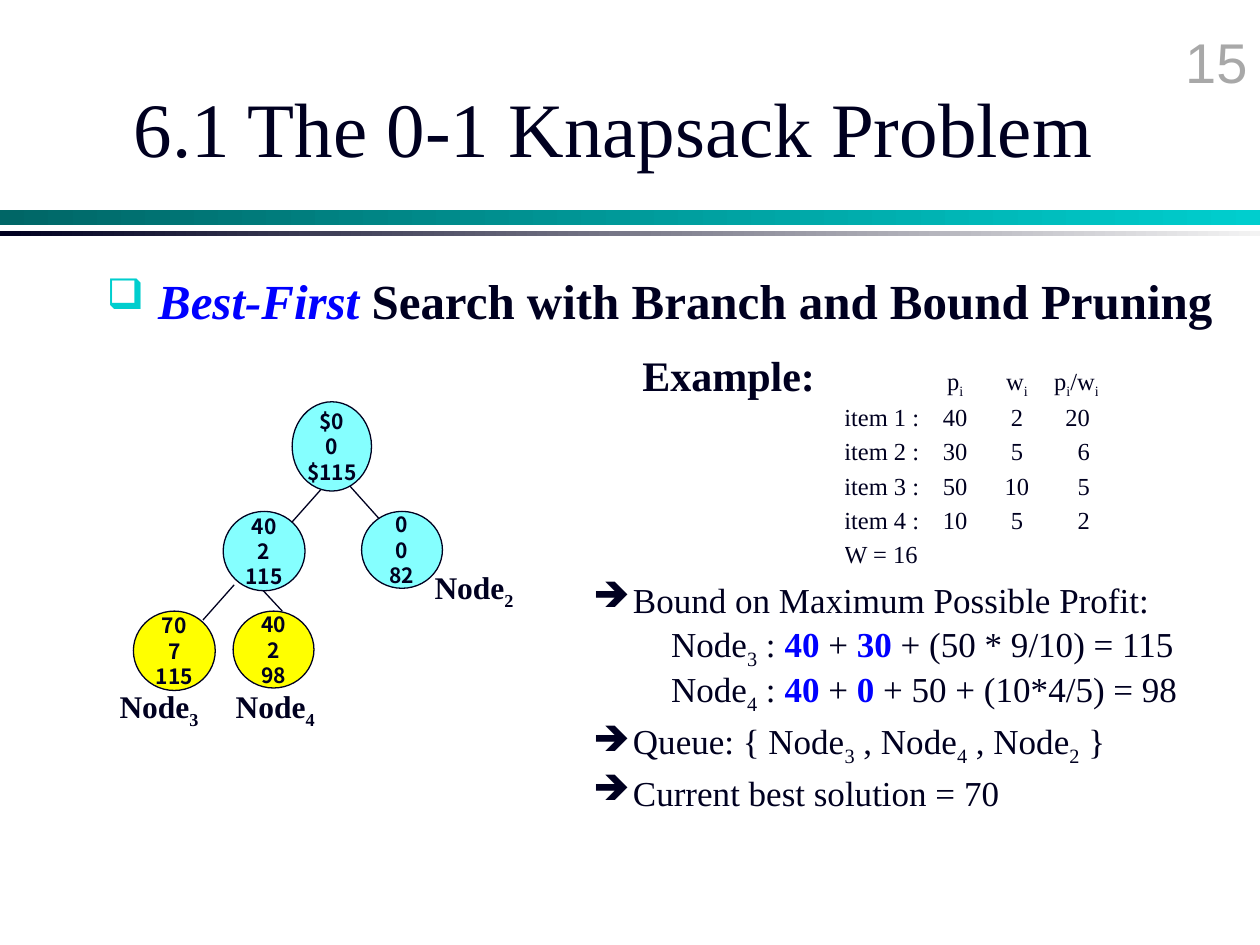
from lxml.etree import SubElement
from pptx import Presentation
from pptx.dml.color import RGBColor
from pptx.enum.shapes import MSO_CONNECTOR, MSO_SHAPE
from pptx.enum.text import MSO_ANCHOR, PP_ALIGN
from pptx.oxml.ns import qn
from pptx.util import Cm, Pt

THEME = {
    "ink": "000020", "accent": "0000FF", "page": "A8A8A8", "bullet": "00CECE",
    "open": "85FFFF", "leaf": "FFFF00",
    "teal bar": ("006666", "00CECE"), "ink bar": ("000020", "F3F3F3"),
    "title": 44, "number": 32, "heading": 28, "example": 24, "point": 20,
    "label": 18, "item": 14, "node": 12,
    "serif": "Times New Roman", "sans": "Arial", "node font": "Noto Sans CJK KR",
}
ROLES = {
    "plain": {},
    "sub": {},
    "bold": {"bold": True},
    "bold sub": {"bold": True},
    "value": {"bold": True},
    "emphasis": {"bold": True, "italic": True},
}
ACCENTED = ("value", "emphasis")


def add_runs(paragraph, runs, size, font="serif", color="ink"):
    """Append (text, role) runs, with sizes, fonts and colours named in THEME."""
    for text, role in runs:
        run = paragraph.add_run()
        run.text = text
        base = {"name": THEME[font], "size": Pt(THEME[size]), "bold": False}
        for attribute, value in (base | ROLES[role]).items():
            setattr(run.font, attribute, value)
        shade = "accent" if role in ACCENTED else color
        run.font.color.rgb = RGBColor.from_string(THEME[shade])
        if role.endswith("sub"):
            run.font._element.set("baseline", "-25000")


def add_text(box, runs, size, bullet=None, **look):
    """Add a one-paragraph text box; bullet is (sign, colour, percent, indent)."""
    frame = slide.shapes.add_textbox(*map(Cm, box)).text_frame
    frame.word_wrap = True
    paragraph = frame.paragraphs[0]
    add_runs(paragraph, runs, size, **look)
    if bullet:
        sign, color, percent, indent = bullet
        properties = paragraph._p.get_or_add_pPr()
        properties.set("marL", str(Cm(indent)))
        properties.set("indent", str(-Cm(indent)))
        bullet_color = SubElement(properties, qn("a:buClr"))
        SubElement(bullet_color, qn("a:srgbClr"), val=THEME[color])
        SubElement(properties, qn("a:buSzPct"), val=str(percent * 1000))
        SubElement(properties, qn("a:buChar"), char=sign)
    return paragraph


presentation = Presentation()
presentation.slide_width, presentation.slide_height = Cm(25.4), Cm(19.05)
slide = presentation.slides.add_slide(presentation.slide_layouts[5])

# Header
for top, height, colors in ((4.24, 0.3, "teal bar"), (4.65, 0.1, "ink bar")):
    bar = slide.shapes.add_shape(
        MSO_SHAPE.RECTANGLE, Cm(0), Cm(top), Cm(25.4), Cm(height))
    bar.shadow.inherit = False
    bar.line.fill.background()
    bar.fill.gradient()
    bar.fill.gradient_angle = 0
    for stop, position, color in zip(bar.fill.gradient_stops, (0, 1), THEME[colors]):
        stop.position = position
        stop.color.rgb = RGBColor.from_string(color)

title = slide.shapes.title
title_box = {"left": 2.44, "top": 0.97, "width": 21.64, "height": 3.18}
for attribute, value in title_box.items():
    setattr(title, attribute, Cm(value))
title.text_frame.vertical_anchor = MSO_ANCHOR.MIDDLE
heading = title.text_frame.paragraphs[0]
heading.alignment = PP_ALIGN.LEFT
add_runs(heading, [("6.1 The 0-1 Knapsack Problem", "plain")], "title")

page_number = add_text((20.12, 0.43, 5.28, 1.27), [("15", "plain")], "number",
                       font="sans", color="page")
page_number.alignment = PP_ALIGN.RIGHT

add_text((1.9, 5.33, 23.2, 1.47),
         [("Best-First ", "emphasis"), ("Search with Branch and Bound Pruning", "bold")],
         "heading", ("❑", "bullet", 86, 1.04))

# Search tree
branches = [
    (6.53, 9.8, 5.89, 10.52), (7.01, 9.75, 7.7, 10.52),
    (4.72, 11.79, 4.09, 12.5), (5.31, 11.91, 5.69, 12.32),
]
for x1, y1, x2, y2 in branches:
    branch = slide.shapes.add_connector(
        MSO_CONNECTOR.STRAIGHT, Cm(x1), Cm(y1), Cm(x2), Cm(y2))
    branch.line.color.rgb = RGBColor.from_string(THEME["ink"])
    branch.line.width = Pt(0.75)
    SubElement(branch._element.spPr, qn("a:effectLst"))

nodes = [
    ((5.89, 8.1, 1.6, 1.8), "open", ("$0", "0", "$115")),
    ((4.5, 10.31, 1.65, 1.6), "open", ("40", "2", "115")),
    ((7.29, 10.31, 1.63, 1.55), "open", ("0", "0", "82")),
    ((2.69, 12.32, 1.65, 1.6), "leaf", ("70", "7", "115")),
    ((4.7, 12.32, 1.63, 1.55), "leaf", ("40", "2", "98")),
]
for box, color, values in nodes:
    node = slide.shapes.add_shape(MSO_SHAPE.OVAL, *map(Cm, box))
    node.shadow.inherit = False
    node.fill.solid()
    node.fill.fore_color.rgb = RGBColor.from_string(THEME[color])
    node.line.color.rgb = RGBColor.from_string(THEME["ink"])
    node.line.width = Pt(0.75)
    frame = node.text_frame
    frame.word_wrap = False
    frame.vertical_anchor = MSO_ANCHOR.MIDDLE
    for side in ("left", "top", "right", "bottom"):
        setattr(frame, f"margin_{side}", 0)
    for index, value in enumerate(values):
        line = frame.add_paragraph() if index else frame.paragraphs[0]
        line.alignment = PP_ALIGN.CENTER
        line.line_spacing = Pt(14.5)
        add_runs(line, [(value, "bold")], "node", font="node font")

for number, left, top in (("2", 8.51, 11.33), ("3", 2.16, 13.72), ("4", 4.5, 13.72)):
    add_text((left, top, 2.54, 1.02), [("Node", "bold"), (number, "bold sub")], "label")

# Example items
add_text((12.7, 6.93, 3.99, 1.27), [("Example:", "bold")], "example")

profit = [("p", "plain"), ("i", "sub")]
weight = [("w", "plain"), ("i", "sub")]
items = [
    ("item 1 :", "40", "2", "20"),
    ("item 2 :", "30", "5", "6"),
    ("item 3 :", "50", "10", "5"),
    ("item 4 :", "10", "5", "2"),
    ("W = 16", "", "", ""),
]
ratio = profit + [("/", "plain")] + weight
rows = [[[], profit, weight, ratio]]
rows += [[[(text, "plain")] if text else [] for text in item] for item in items]
columns = [(1.6, PP_ALIGN.LEFT), (1.27, PP_ALIGN.CENTER),
           (1.22, PP_ALIGN.CENTER), (1.04, PP_ALIGN.RIGHT)]
row_height = 0.69
table = slide.shapes.add_table(
    len(rows), len(columns), Cm(17.02), Cm(7.4),
    Cm(sum(width for width, _ in columns)), Cm(row_height * len(rows))).table
table.first_row = table.horz_banding = False
for column, (width, _) in zip(table.columns, columns):
    column.width = Cm(width)
for row_index, row in enumerate(rows):
    table.rows[row_index].height = Cm(row_height)
    for column_index, runs in enumerate(row):
        cell = table.cell(row_index, column_index)
        cell.fill.background()
        cell.vertical_anchor = MSO_ANCHOR.MIDDLE
        for side in ("left", "top", "right", "bottom"):
            setattr(cell, f"margin_{side}", 0)
        if row_index and column_index == 3:
            cell.margin_right = Cm(0.18)
        entry = cell.text_frame.paragraphs[0]
        entry.alignment = columns[column_index][1]
        entry.font.size = Pt(THEME["item"])
        add_runs(entry, runs, "item")

# Bound and queue
arrow = ("➔", "ink", 100, 0.8)
points = [
    (11.71, 11.53, arrow, [("Bound on Maximum Possible Profit:", "plain")]),
    (13.28, 12.42, None, [
        ("Node", "plain"), ("3", "sub"), (" : ", "plain"), ("40", "value"),
        (" + ", "plain"), ("30", "value"), (" + (50 * 9/10) = 115", "plain")]),
    (13.28, 13.34, None, [
        ("Node", "plain"), ("4", "sub"), (" : ", "plain"), ("40", "value"),
        (" + ", "plain"), ("0", "value"), (" + 50 + (10*4/5) = 98", "plain")]),
    (11.71, 14.38, arrow, [
        ("Queue: { Node", "plain"), ("3", "sub"), (" , Node", "plain"), ("4", "sub"),
        (" , Node", "plain"), ("2", "sub"), (" }", "plain")]),
    (11.71, 15.42, arrow, [("Current best solution = 70", "plain")]),
]
for left, top, bullet, runs in points:
    add_text((left, top, 12.1, 1.09), runs, "point", bullet)

presentation.save("out.pptx")
